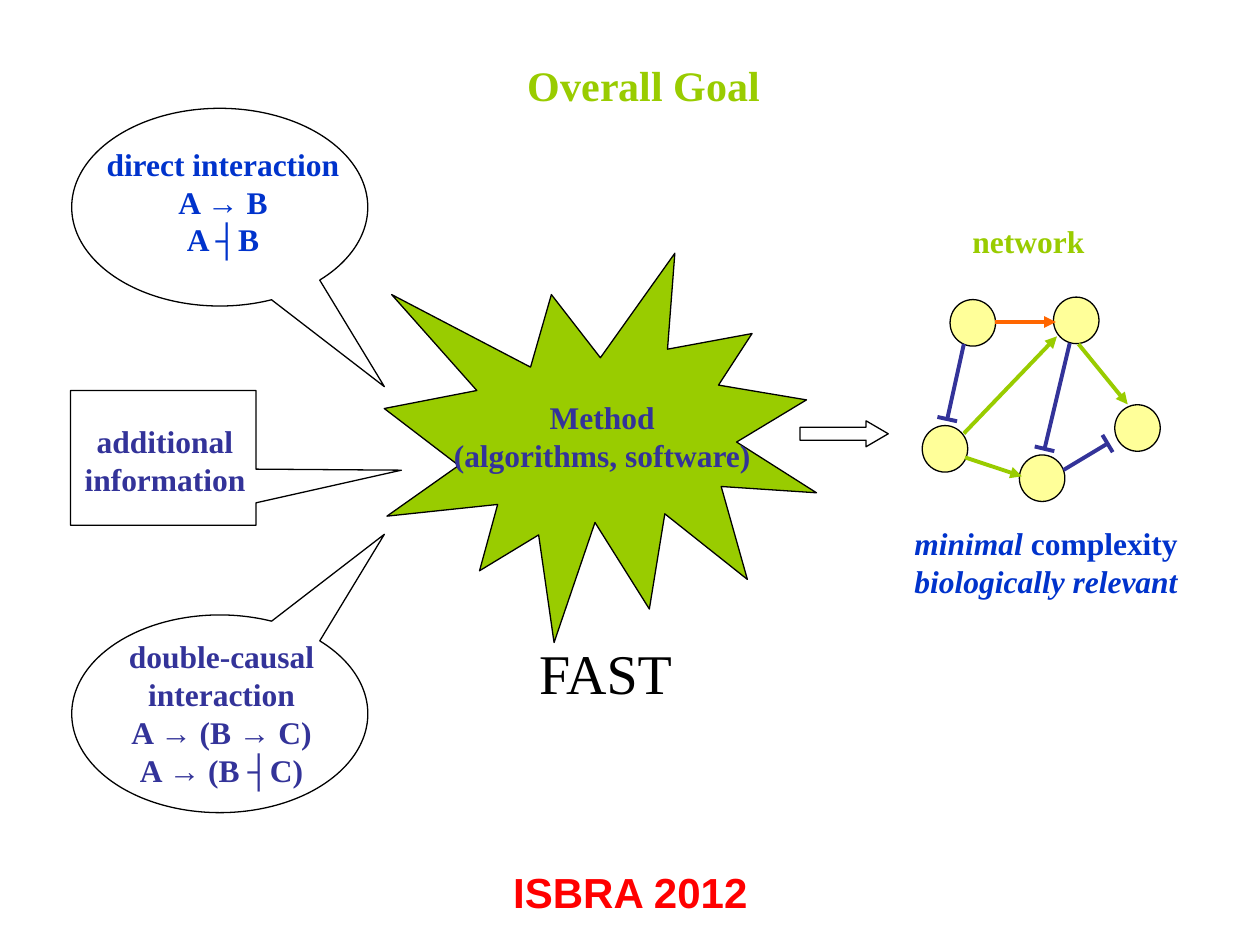
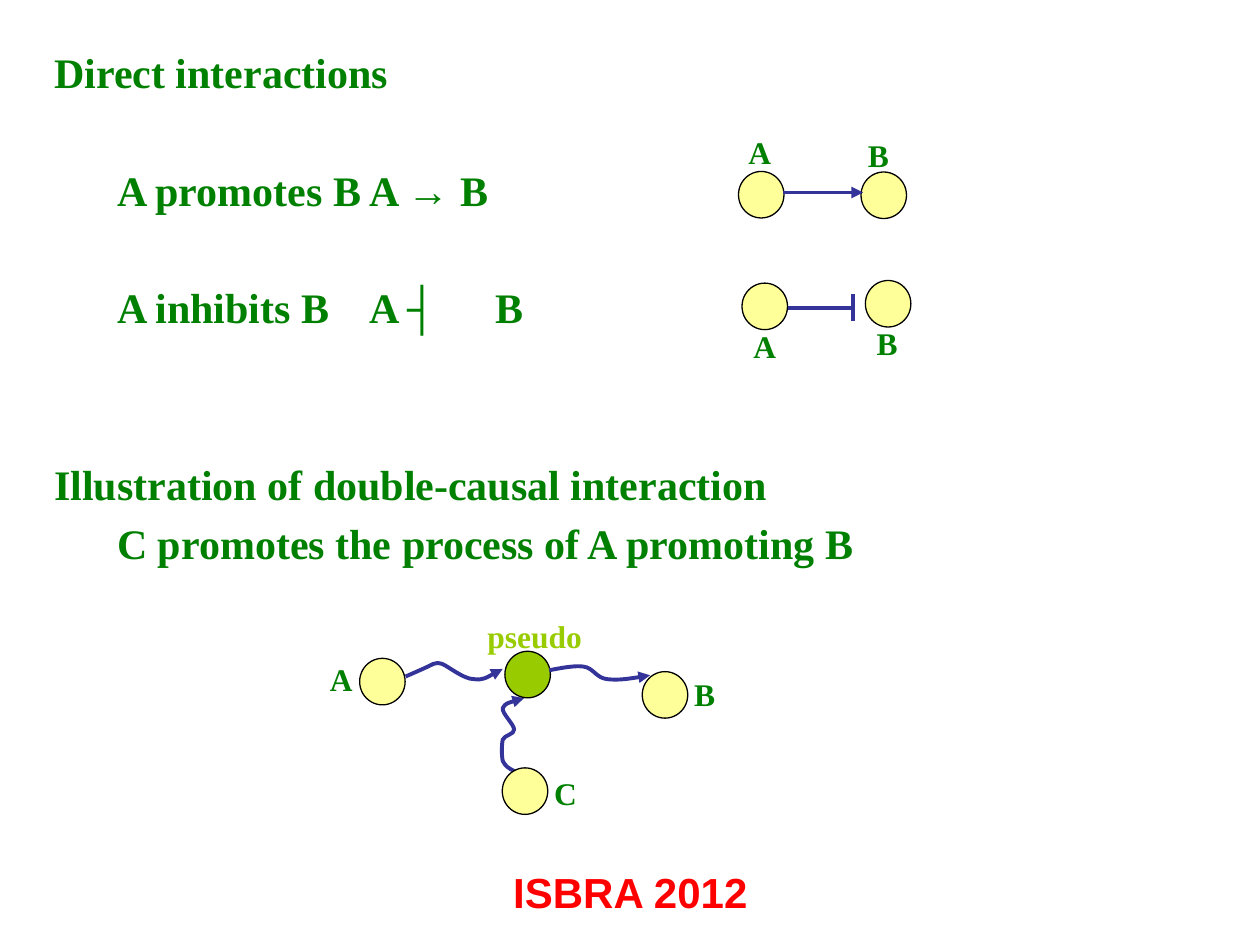
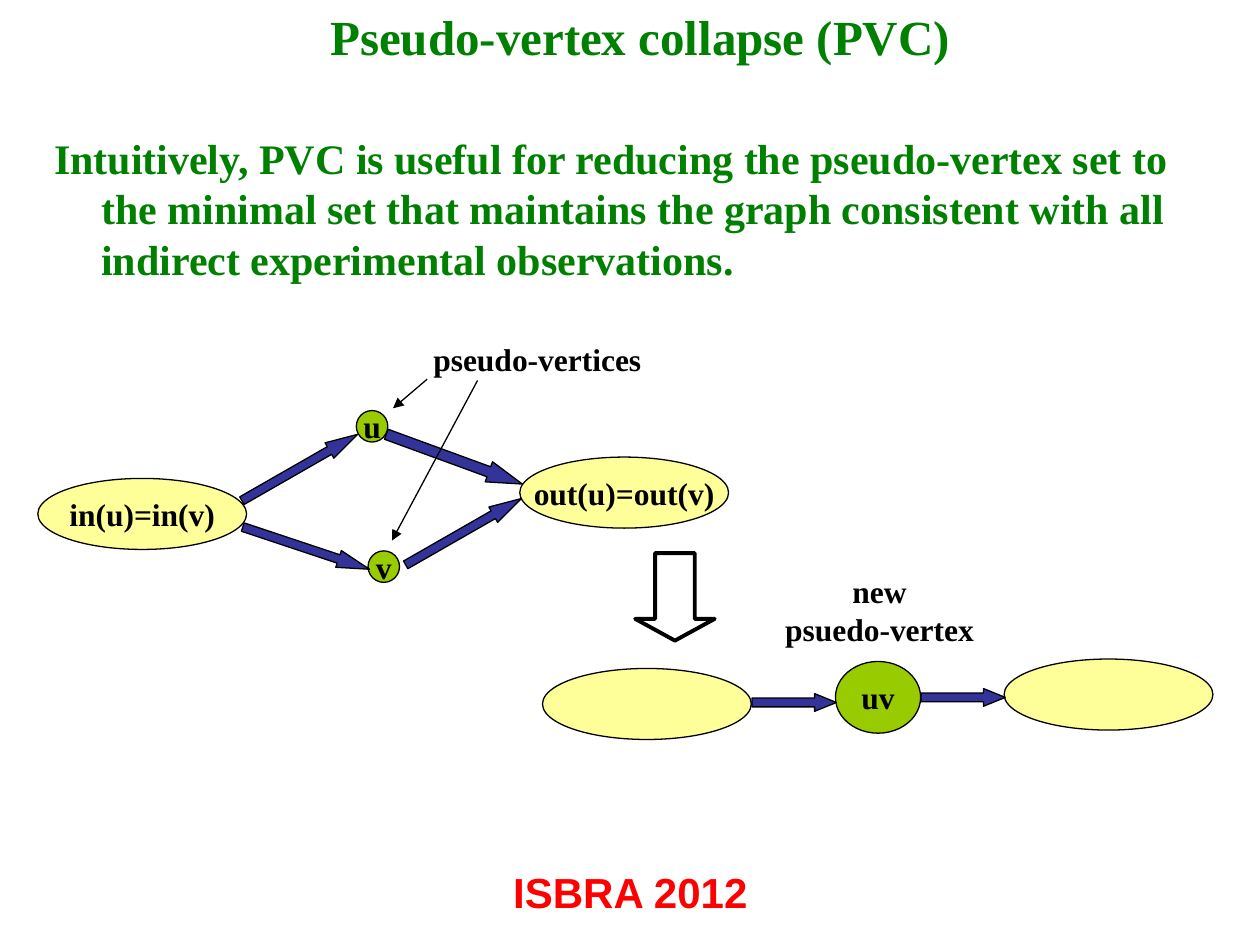
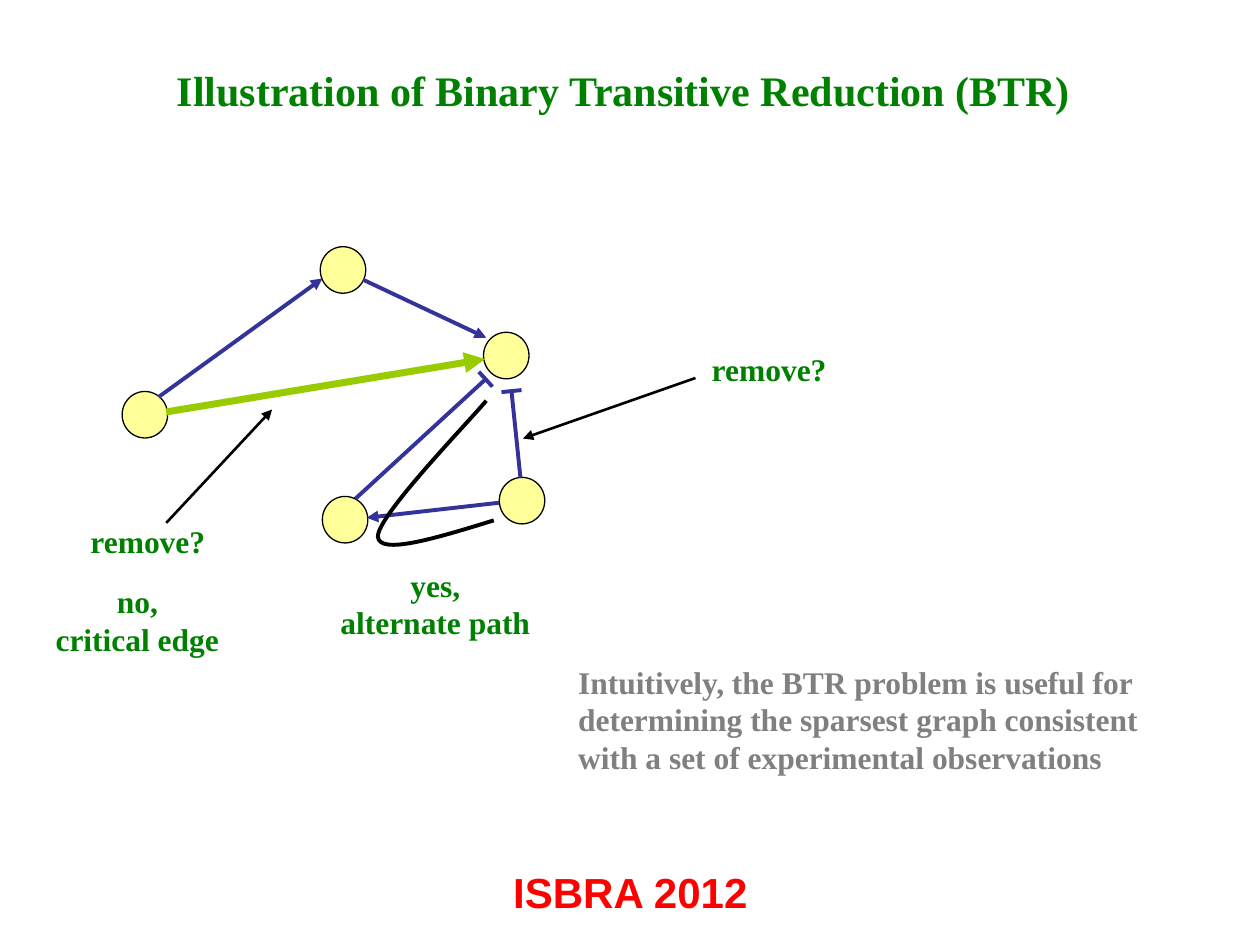
import math

from lxml import etree
from pptx import Presentation
from pptx import util as u
from pptx.dml.color import RGBColor
from pptx.enum import shapes, text
from pptx.oxml.ns import qn

Pt = u.Pt
Geometry = shapes.MSO_SHAPE
LEFT, CENTER = text.PP_ALIGN.LEFT, text.PP_ALIGN.CENTER

SERIF, SANS = "Times New Roman", "Arial"
LIME, GREEN, NAVY, BLUE = "99CC00", "008000", "333399", "0033CC"
ORANGE, YELLOW, RED, GRAY = "FF6600", "FFFF99", "FF0000", "808080"
BLACK, WHITE = "000000", "FFFFFF"
NODE_WIDTH, NODE_HEIGHT = 26, 26.6


def rgb(color):
    return RGBColor.from_string(color)


def add_arrowhead(shape):
    outline = shape._element.spPr.get_or_add_ln()
    etree.SubElement(outline, qn("a:tailEnd"), type="triangle")


def add_tab_stops(paragraph, positions):
    tabs = etree.Element(qn("a:tabLst"))
    for position in positions:
        etree.SubElement(tabs, qn("a:tab"), pos=str(Pt(position)), algn="l")
    paragraph._p.pPr.find(qn("a:defRPr")).addprevious(tabs)


def set_indent(paragraph, margin, first_line):
    properties = paragraph._p.get_or_add_pPr()
    properties.set("marL", str(Pt(margin)))
    properties.set("indent", str(Pt(first_line)))


class Deck:
    def __init__(self):
        self.presentation = Presentation()
        self.presentation.slide_width = Pt(720)
        self.presentation.slide_height = Pt(540)
        self.slide = None

    def new_slide(self, title, left, top, width, size=24, color=GREEN, align=CENTER):
        """Start a slide with its title and the conference footer."""
        layout = self.presentation.slide_layouts[5]
        self.slide = self.presentation.slides.add_slide(layout)
        shape = self.slide.shapes.title
        shape.left, shape.top = Pt(left), Pt(top)
        shape.width, shape.height = Pt(width), Pt(44)
        frame = shape.text_frame
        frame.auto_size = text.MSO_AUTO_SIZE.NONE
        frame.vertical_anchor = text.MSO_ANCHOR.TOP
        self.set_text(frame, [title], size, color, align)
        self.label(246.2, 491.8, 228, 37.4, ["ISBRA 2012"], RED, 24, font=SANS, wrap=True)

    def set_text(self, frame, lines, size, color, align, bold=True, italic=False, font=SERIF):
        frame.text = "\n".join(lines)
        for paragraph in frame.paragraphs:
            paragraph.alignment = align
            style = paragraph.font
            style.name, style.size = font, Pt(size)
            style.bold, style.italic = bold, italic
            style.color.rgb = rgb(color)

    def label(self, left, top, width, height, lines, color=GREEN, size=18,
              align=CENTER, wrap=False, **style):
        box = self.slide.shapes.add_textbox(Pt(left), Pt(top), Pt(width), Pt(height))
        frame = box.text_frame
        frame.word_wrap = wrap
        if not wrap:
            frame.auto_size = text.MSO_AUTO_SIZE.SHAPE_TO_FIT_TEXT
        self.set_text(frame, lines, size, color, align, **style)
        return frame

    def shape(self, geometry, left, top, width, height, fill=None, caption="",
              adjustments=(), rotation=0, line_width=0.75):
        shape = self.slide.shapes.add_shape(
            geometry, Pt(left), Pt(top), Pt(width), Pt(height))
        shape.shadow.inherit = False
        shape.rotation = rotation
        for index, value in enumerate(adjustments):
            shape.adjustments[index] = value
        if fill:
            shape.fill.solid()
            shape.fill.fore_color.rgb = rgb(fill)
        else:
            shape.fill.background()
        shape.line.color.rgb = rgb(BLACK)
        shape.line.width = Pt(line_width)
        if caption:
            shape.text_frame.word_wrap = False
            shape.text_frame.vertical_anchor = text.MSO_ANCHOR.MIDDLE
            self.set_text(shape.text_frame, [caption], 18, BLACK, CENTER)

    def nodes(self, positions, fill=YELLOW):
        """Draw a graph vertex at each (left, top)."""
        for left, top in positions:
            self.shape(Geometry.OVAL, left, top, NODE_WIDTH, NODE_HEIGHT, fill)

    def line(self, start, end, color=NAVY, width=2.25, arrow=True):
        connector = self.slide.shapes.add_connector(
            shapes.MSO_CONNECTOR.STRAIGHT, *map(Pt, start + end))
        connector.line.color.rgb = rgb(color)
        connector.line.width = Pt(width)
        if arrow:
            add_arrowhead(connector)
        etree.SubElement(connector._element.spPr, qn("a:effectLst"))

    def inhibition(self, start, end, bar=11.5):
        """Draw a line that ends in a perpendicular bar."""
        self.line(start, end, arrow=False)
        dx, dy = end[0] - start[0], end[1] - start[1]
        scale = bar / 2 / math.hypot(dx, dy)
        across, down = -dy * scale, dx * scale
        self.line((end[0] - across, end[1] - down),
                  (end[0] + across, end[1] + down), arrow=False)

    def curve(self, points, color=NAVY, arrow=True):
        """Draw Bézier segments: a start, then three points for each segment."""
        points = [tuple(map(Pt, point)) for point in points]
        builder = self.slide.shapes.build_freeform(*points[0])
        builder.add_line_segments(points[1:], close=False)
        shape = builder.convert_to_shape()
        outline = next(shape._element.iter(qn("a:path")))
        steps = outline.findall(qn("a:lnTo"))
        for first in range(0, len(steps), 3):
            bezier = etree.SubElement(outline, qn("a:cubicBezTo"))
            for step in steps[first:first + 3]:
                bezier.append(step[0])
                outline.remove(step)
        shape.shadow.inherit = False
        shape.fill.background()
        shape.line.color.rgb = rgb(color)
        shape.line.width = Pt(2.25)
        if arrow:
            add_arrowhead(shape)


def overall_goal(deck):
    deck.new_slide("Overall Goal", 37.4, 30.2, 661, color=LIME)
    for top, pointer in ((61.9, 0.908), (351.4, -0.908)):
        deck.shape(Geometry.OVAL_CALLOUT, 41, top, 169.2, 113, WHITE,
                   adjustments=(0.556, pointer))
    deck.shape(Geometry.RECTANGULAR_CALLOUT, 40.3, 223.2, 106, 77, WHITE,
               adjustments=(1.284, 0.091))
    deck.label(53.3, 79.2, 148.3, 72, ["direct interaction", "A → B", "A ┤B"], BLUE)
    deck.label(64, 360.7, 125.3, 93.6,
               ["double-causal", "interaction", "A → (B → C)", "A → (B ┤C)"], NAVY)
    deck.label(37.4, 237.6, 113.8, 50.4, ["additional", "information"], NAVY, wrap=True)

    deck.shape(Geometry.EXPLOSION1, 219.6, 144.7, 247, 222.5, LIME)
    deck.label(252, 223.9, 184.3, 50.4, ["Method", "(algorithms, software)"], NAVY)
    deck.label(301, 361.4, 92.9, 45.4, ["FAST"], BLACK, 32, LEFT, bold=False)

    deck.label(548.6, 123.1, 78.5, 28.8, ["network"], LIME, align=LEFT)
    deck.nodes([(542.9, 171.2), (602, 169.8), (527, 243.2), (582.5, 260), (637, 231.3)])
    deck.line((568.8, 184), (603.4, 184), ORANGE)
    for start, end in (((550.8, 247.7), (604, 192.2)),
                       ((616.3, 196.6), (644.4, 231.1)),
                       ((551.5, 261.4), (584, 272.2))):
        deck.line(start, end, LIME)
    for start, end in (((611.3, 196), (596.9, 256.5)),
                       ((550.8, 196.6), (541.3, 239.5)),
                       ((607.7, 268.6), (632.9, 253.5))):
        deck.inhibition(start, end)
    frame = deck.label(515.5, 296, 175, 50.4, ["minimal", "biologically relevant"],
                       BLUE, align=LEFT, wrap=True, italic=True)
    run = frame.paragraphs[0].add_run()
    run.text = " complexity"
    run.font.italic = False
    deck.shape(Geometry.RIGHT_ARROW, 457.2, 240.5, 50.4, 14.8, adjustments=(0.5, 0.856))


def interactions(deck):
    deck.new_slide("Direct interactions", 23.8, 23, 675, align=LEFT)
    frame = deck.label(23.8, 90.3, 675, 260, [
        "A promotes B\tA → B",
        "A inhibits B\tA ┤\tB",
        "Illustration of double-causal interaction",
        "C promotes the process of A promoting B",
    ], size=24, align=LEFT, wrap=True)
    gaps_and_indents = ((0, 36), (38.4, 36), (72, 0), (4.8, 36))
    for paragraph, (gap, indent) in zip(frame.paragraphs, gaps_and_indents):
        set_indent(paragraph, 0, indent)
        paragraph.space_before = Pt(gap)
    for paragraph in frame.paragraphs[:2]:
        add_tab_stops(paragraph, (233.6, 284.5))

    deck.nodes([(422, 98), (492, 98.3), (424, 161.8), (494.5, 160.3)])
    deck.line((447.5, 110), (493.2, 110))
    deck.inhibition((450, 175.8), (487.3, 175.8), bar=15.8)

    deck.curve([(293.8, 440.6), (290.9, 439.2), (288.7, 437.8), (287.3, 434.9),
                (286.6, 432), (286.6, 425.5), (287.3, 422.6),
                (288.7, 419.8), (293.8, 419.8), (293.8, 416.9),
                (293.8, 414), (286.6, 407.5), (287.3, 404.6),
                (288.7, 401.8), (294.5, 400.3), (299.5, 398.9)])
    deck.nodes([(367, 383.8), (205.5, 376.2), (287, 438.8)])
    deck.nodes([(288.5, 372.2)], LIME)
    deck.curve([(231.8, 386.6), (238.3, 383.8), (244.8, 380.9), (247.7, 379.4),
                (251.3, 378.7), (249.1, 378.7), (252.7, 379.4),
                (256.3, 380.9), (265, 388.1), (270.7, 388.1),
                (276.5, 388.8), (281.5, 385.2), (287.3, 382.3)])
    deck.curve([(313.9, 383), (321.1, 381.6), (328.3, 380.2), (333.4, 380.9),
                (339.1, 381.6), (340.6, 387.4), (347, 388.1),
                (353.5, 388.8), (362.9, 387.4), (371.5, 385.9)])
    for name, left, top in (("A", 423.4, 183.6), ("B", 493.9, 181.4),
                            ("B", 488.9, 74.2), ("A", 420.5, 72.7),
                            ("C", 309.6, 438.5), ("B", 389.5, 382.3),
                            ("A", 181.4, 373.7)):
        deck.label(left, top, 27, 28.8, [name], align=LEFT)
    deck.label(271.4, 349.2, 68.4, 28.8, ["pseudo"], LIME, align=LEFT)


def pseudo_vertex_collapse(deck):
    deck.new_slide("Pseudo-vertex collapse (PVC)", 23.8, 0, 684, size=28)
    frame = deck.label(23.8, 72, 684, 106, [
        "Intuitively, PVC is useful for reducing the pseudo-vertex set to the minimal "
        "set that maintains the graph consistent with all indirect experimental "
        "observations."], size=24, align=LEFT, wrap=True)
    set_indent(frame.paragraphs[0], 27, -27)

    for caption, left, top in (("u", 203.6, 234.6), ("v", 210.3, 314.8)):
        deck.shape(Geometry.OVAL, left, top, 18, 18, LIME, caption)
    for caption, left, top in (("in(u)=in(v)", 21.6, 273.4), ("out(u)=out(v)", 297, 261.2),
                               ("", 310, 382), ("", 573.8, 376.6)):
        deck.shape(Geometry.OVAL, left, top, 119.3, 40.6, YELLOW, caption)
    deck.shape(Geometry.OVAL, 477.4, 378, 48.7, 41, LIME, "uv")

    steep, flat = (76.3, 10.1, 1.843), (48.2, 10.1, 1.231)
    for left, top, (width, height, head), rotation in (
            (133.2, 262.1, steep, 330.2), (136.8, 308.2, steep, 18.4),
            (218.2, 256.3, (82.8, 12.2, 1.672), 20.1), (226.8, 298.8, steep, 330.2),
            (429.8, 396.4, flat, 0), (526.3, 393.5, flat, 0)):
        deck.shape(Geometry.RIGHT_ARROW, left, top, width, height, NAVY,
                   adjustments=(0.5, head), rotation=rotation)
    deck.shape(Geometry.DOWN_ARROW, 363, 316.1, 45.4, 50,
               adjustments=(0.5, 0.274), line_width=2.25)

    deck.label(240.5, 190.8, 133.2, 28.8, ["pseudo-vertices"], BLACK, align=LEFT)
    deck.line((244.1, 216.7), (224.6, 233.3), BLACK, 0.75)
    deck.line((272.9, 217.4), (224, 308.9), BLACK, 0.75)
    deck.label(441.4, 323.3, 122.4, 50.4, ["new", "psuedo-vertex"], BLACK)


def binary_transitive_reduction(deck):
    deck.new_slide("Illustration of Binary Transitive Reduction (BTR)", 32.3, 33.1, 648)
    deck.nodes([(69.8, 223.7), (183, 141), (276.3, 189.9), (184.2, 283.7), (285.3, 272.8)])
    for start, end in (((90.7, 226.8), (184.3, 159.1)),
                       ((207.4, 159.8), (277.9, 193)),
                       ((285.1, 287.3), (209.5, 295.9))):
        deck.line(start, end)
    deck.line((95, 235.4), (277.2, 205.2), LIME, 4)
    deck.inhibition((297.4, 272.9), (292.3, 223.5))
    deck.inhibition((203, 285.1), (277.5, 216.7))

    for left, top in ((399.6, 196.6), (44.6, 294.5)):
        deck.label(left, top, 80.6, 28.8, ["remove?"], align=LEFT)
    deck.label(187.2, 319.7, 123.1, 50.4, ["yes,", "alternate path"])
    deck.label(24.5, 329, 108, 50.4, ["no,", "critical edge"])
    deck.line((397.4, 216), (298.8, 250.6), BLACK, 1.5)
    deck.line((95, 298.8), (155.5, 234), BLACK, 1.5)
    deck.curve([(282.2, 297.4), (249.8, 307.4), (216.7, 317.5), (216, 306.7),
                (215.3, 295.2), (267.8, 241.2), (277.9, 229)], BLACK, arrow=False)
    deck.label(323.3, 375.1, 360, 72, [
        "Intuitively, the BTR problem is useful for determining the sparsest graph "
        "consistent with a set of experimental observations"], GRAY, align=LEFT, wrap=True)


def main():
    deck = Deck()
    for build in (overall_goal, interactions, pseudo_vertex_collapse,
                  binary_transitive_reduction):
        build(deck)
    deck.presentation.save("out.pptx")


if __name__ == "__main__":
    main()
